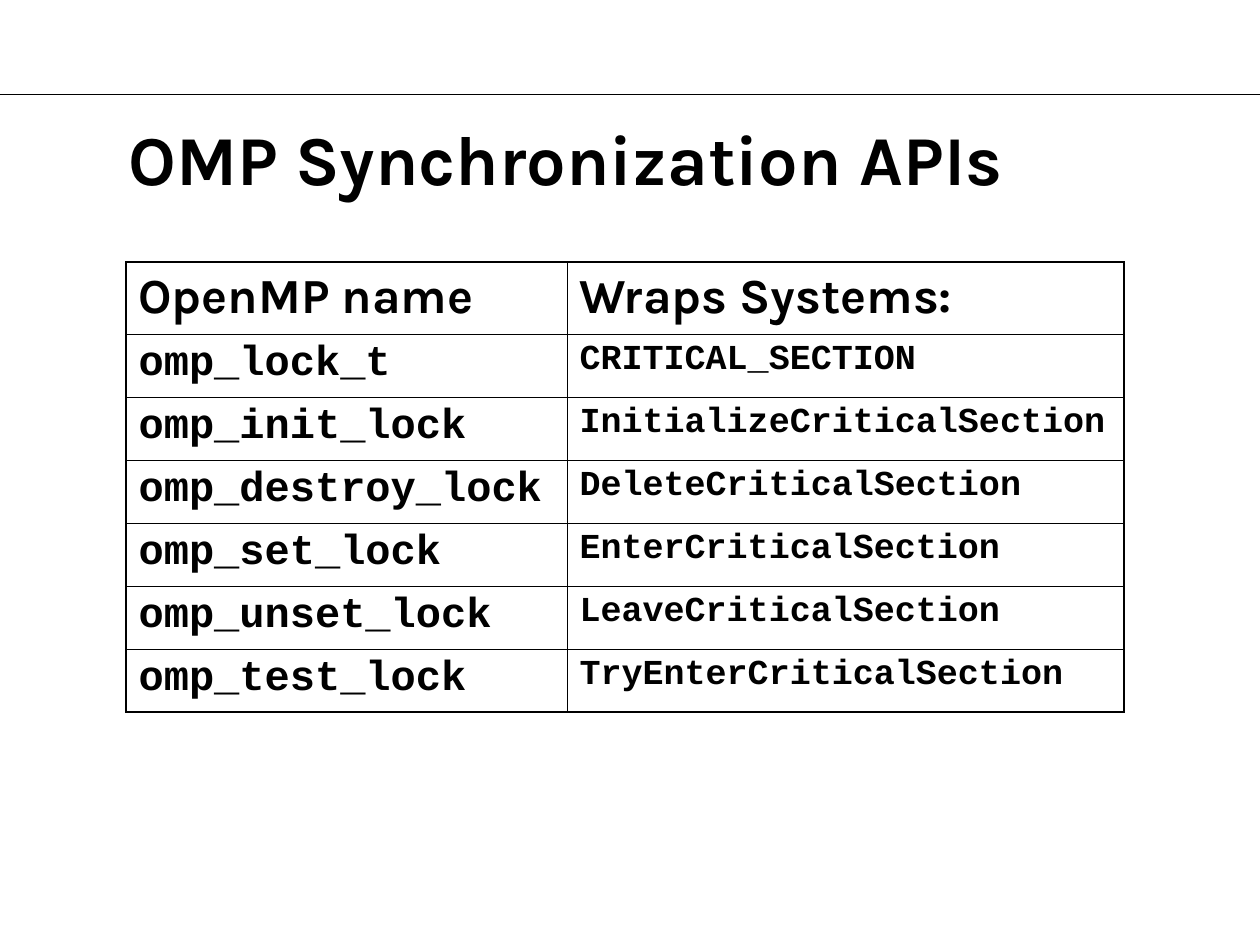
from lxml import etree
from pptx import Presentation
from pptx import util as u
from pptx.dml.color import RGBColor
from pptx.enum import shapes, text
from pptx.oxml.ns import qn

COLORS = {"ink": "000000", "paper": "FFFFFF"}
TITLE = {"name": "Karla", "size": 40}
HEADER = {"name": "Karla", "size": 28, "before": 7}
OMP_NAME = {"name": "Courier New", "size": 24, "before": 6}
WRAPPED_NAME = {"name": "Courier New", "size": 20, "before": 5}
OUTER, INNER = 1.08, 0.45

ROWS = [
    ("OpenMP name", "Wraps Systems:"),
    ("omp_lock_t", "CRITICAL_SECTION"),
    ("omp_init_lock", "InitializeCriticalSection"),
    ("omp_destroy_lock", "DeleteCriticalSection"),
    ("omp_set_lock", "EnterCriticalSection"),
    ("omp_unset_lock", "LeaveCriticalSection"),
    ("omp_test_lock", "TryEnterCriticalSection"),
]


class SlideBuilder:
    def __init__(self, s, colors):
        self.s = s
        self.colors = {k: RGBColor.from_string(v) for k, v in colors.items()}
        s.background.fill.solid()
        s.background.fill.fore_color.rgb = self.colors["paper"]

    def add_text(self, tf, content, fmt):
        p = tf.paragraphs[0]
        p.space_before = u.Pt(fmt.get("before", 0))
        r = p.add_run()
        r.text = content
        font = {"name": fmt["name"], "size": u.Pt(fmt["size"]), "bold": True}
        for key, value in font.items():
            setattr(r.font, key, value)
        r.font.color.rgb = self.colors["ink"]

    def rule(self, x1, y1, x2, y2, width):
        ends = [u.Inches(v) for v in (x1, y1, x2, y2)]
        sp = self.s.shapes.add_connector(shapes.MSO_CONNECTOR.STRAIGHT, *ends)
        sp.line.color.rgb = self.colors["ink"]
        sp.line.width = u.Pt(width)
        etree.SubElement(sp._element.spPr, qn("a:effectLst"))

    def title(self, content, *box):
        sp = self.s.shapes.add_textbox(*[u.Inches(v) for v in box])
        tf = sp.text_frame
        tf.word_wrap = True
        tf.vertical_anchor = text.MSO_ANCHOR.MIDDLE
        self.add_text(tf, content, TITLE)

    def border(self, cell, side, width):
        tcPr = cell._tc.get_or_add_tcPr()
        ln = etree.SubElement(tcPr, qn(f"a:ln{side}"), w=str(u.Pt(width)))
        fill = etree.SubElement(ln, qn("a:solidFill"))
        etree.SubElement(fill, qn("a:srgbClr"), val=str(self.colors["ink"]))

    def table(self, rows, left, top, widths, heights):
        box = [u.Inches(v) for v in (left, top, sum(widths), sum(heights))]
        tbl = self.s.shapes.add_table(len(rows), len(widths), *box).table
        tbl.first_row = tbl.horz_banding = False
        for col, width in zip(tbl.columns, widths):
            col.width = u.Inches(width)
        last_row, last_col = len(rows) - 1, len(widths) - 1
        for i, (row, height) in enumerate(zip(rows, heights)):
            tbl.rows[i].height = u.Inches(height)
            for j, content in enumerate(row):
                cell = tbl.cell(i, j)
                fmt = HEADER if i == 0 else (OMP_NAME, WRAPPED_NAME)[j]
                self.add_text(cell.text_frame, content, fmt)
                outer = {"L": j == 0, "R": j == last_col,
                         "T": i == 0, "B": i == last_row}
                for side, is_outer in outer.items():
                    self.border(cell, side, OUTER if is_outer else INNER)
                cell.fill.background()


def main():
    prs = Presentation()
    prs.slide_width, prs.slide_height = u.Inches(10), u.Inches(7.5)
    s = prs.slides.add_slide(prs.slide_layouts[6])
    b = SlideBuilder(s, COLORS)
    b.rule(0, 0.75, 10, 0.75, 0.75)
    b.title("OMP Synchronization APIs", 0.92, 0.75, 8, 1)
    b.table(ROWS, 1, 2.08, [3.5, 4.42], [0.57] + [0.5] * (len(ROWS) - 1))
    prs.save("out.pptx")


if __name__ == "__main__":
    main()
